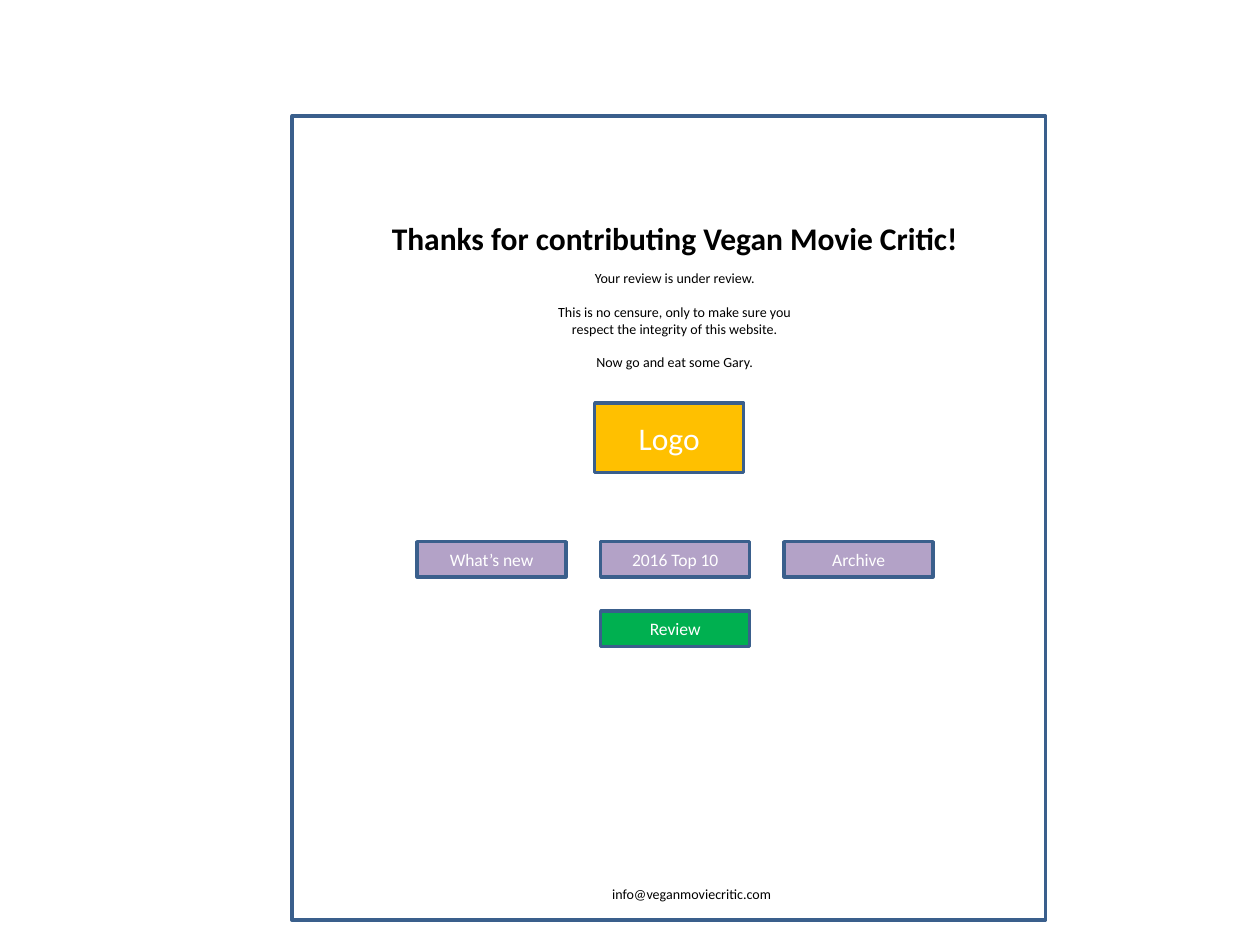
from dataclasses import dataclass

from pptx import Presentation
from pptx import util as u
from pptx.dml.color import RGBColor
from pptx.enum import shapes, text

FONT = "Calibri"
BLACK, WHITE = "000000", "FFFFFF"
OUTLINE, PURPLE, GREEN, AMBER = "3A5F8C", "B3A2C7", "00B050", "FFC000"

BUTTON_WIDTH, BUTTON_HEIGHT = 3.0, 0.71
MENU_LEFT, MENU_TOP, MENU_STEP = 8.41, 10.92, 3.7


@dataclass(frozen=True)
class Box:
    """A filled rectangle, measured in centimetres."""
    left: float
    top: float
    width: float
    height: float
    fill: str
    label: str = ""
    size: int = 10


def colour(hex_value: str) -> RGBColor:
    return RGBColor.from_string(hex_value)


def write(frame, lines: list[str], size: int, hex_value: str, align,
          bold: bool = False, gap: float = 0) -> None:
    """Fill a text frame with one paragraph per line, gap points apart."""
    frame.word_wrap = True
    frame.text = "\n".join(lines)
    for index, paragraph in enumerate(frame.paragraphs):
        paragraph.alignment = align
        paragraph.space_before = u.Pt(gap if index else 0)
        for run in paragraph.runs:
            run.font.name = FONT
            run.font.size = u.Pt(size)
            run.font.bold = bold
            run.font.color.rgb = colour(hex_value)


def place(item, left: float, top: float, width: float, height: float) -> None:
    item.left, item.top = u.Cm(left), u.Cm(top)
    item.width, item.height = u.Cm(width), u.Cm(height)


def draw_box(slide, box: Box):
    shape = slide.shapes.add_shape(
        shapes.MSO_SHAPE.RECTANGLE, u.Cm(box.left), u.Cm(box.top),
        u.Cm(box.width), u.Cm(box.height))
    shape.shadow.inherit = False
    shape.fill.solid()
    shape.fill.fore_color.rgb = colour(box.fill)
    shape.line.color.rgb = colour(OUTLINE)
    shape.line.width = u.Pt(2)
    if box.label:
        shape.text_frame.vertical_anchor = text.MSO_ANCHOR.MIDDLE
        write(shape.text_frame, [box.label], box.size, WHITE, text.PP_ALIGN.CENTER)
    return shape


def draw_text(slide, left: float, top: float, width: float, height: float,
              lines: list[str], align, gap: float = 0) -> None:
    note = slide.shapes.add_textbox(
        u.Cm(left), u.Cm(top), u.Cm(width), u.Cm(height))
    write(note.text_frame, lines, 8, BLACK, align, gap=gap)


def main() -> None:
    deck = Presentation()
    deck.slide_width, deck.slide_height = u.Inches(10), u.Inches(7.5)
    slide = deck.slides.add_slide(deck.slide_layouts.get_by_name("Title Only"))

    page = draw_box(slide, Box(5.89, 2.34, 15.19, 16.21, WHITE))
    heading = slide.shapes.title
    heading._element.addprevious(page._element)  # the page lies behind the heading
    place(heading, 6.71, 4.29, 13.79, 1.02)
    heading.text_frame.vertical_anchor = text.MSO_ANCHOR.TOP
    heading.text_frame.auto_size = text.MSO_AUTO_SIZE.NONE
    write(heading.text_frame, ["Thanks for contributing Vegan Movie Critic!"],
          18, BLACK, text.PP_ALIGN.CENTER, bold=True)

    draw_text(slide, 10.9, 5.31, 5.41, 2.31, [
        "Your review is under review.",
        "This is no censure, only to make sure you respect the integrity of this website.",
        "Now go and eat some Gary.",
    ], text.PP_ALIGN.CENTER, gap=9.75)
    draw_text(slide, 12.09, 17.73, 3.99, 0.61,
              ["info@veganmoviecritic.com"], text.PP_ALIGN.LEFT)

    menu = [Box(MENU_LEFT + column * MENU_STEP, MENU_TOP,
                BUTTON_WIDTH, BUTTON_HEIGHT, PURPLE, label)
            for column, label in enumerate(["What’s new", "2016 Top 10", "Archive"])]
    review = Box(MENU_LEFT + MENU_STEP, 12.32, BUTTON_WIDTH, BUTTON_HEIGHT,
                 GREEN, "Review")
    logo = Box(11.99, 8.13, BUTTON_WIDTH, 1.4, AMBER, "Logo", 18)
    for box in [*menu, review, logo]:
        draw_box(slide, box)

    deck.save("out.pptx")


if __name__ == "__main__":
    main()
